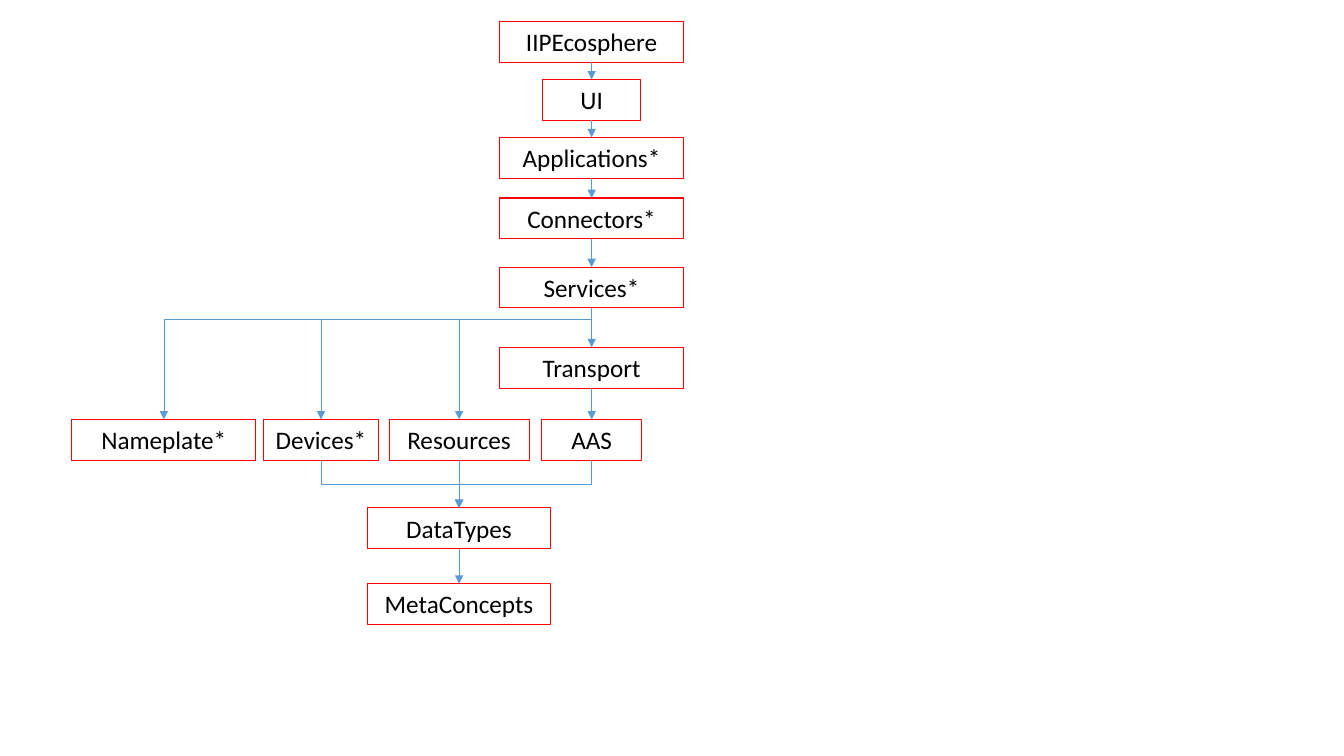
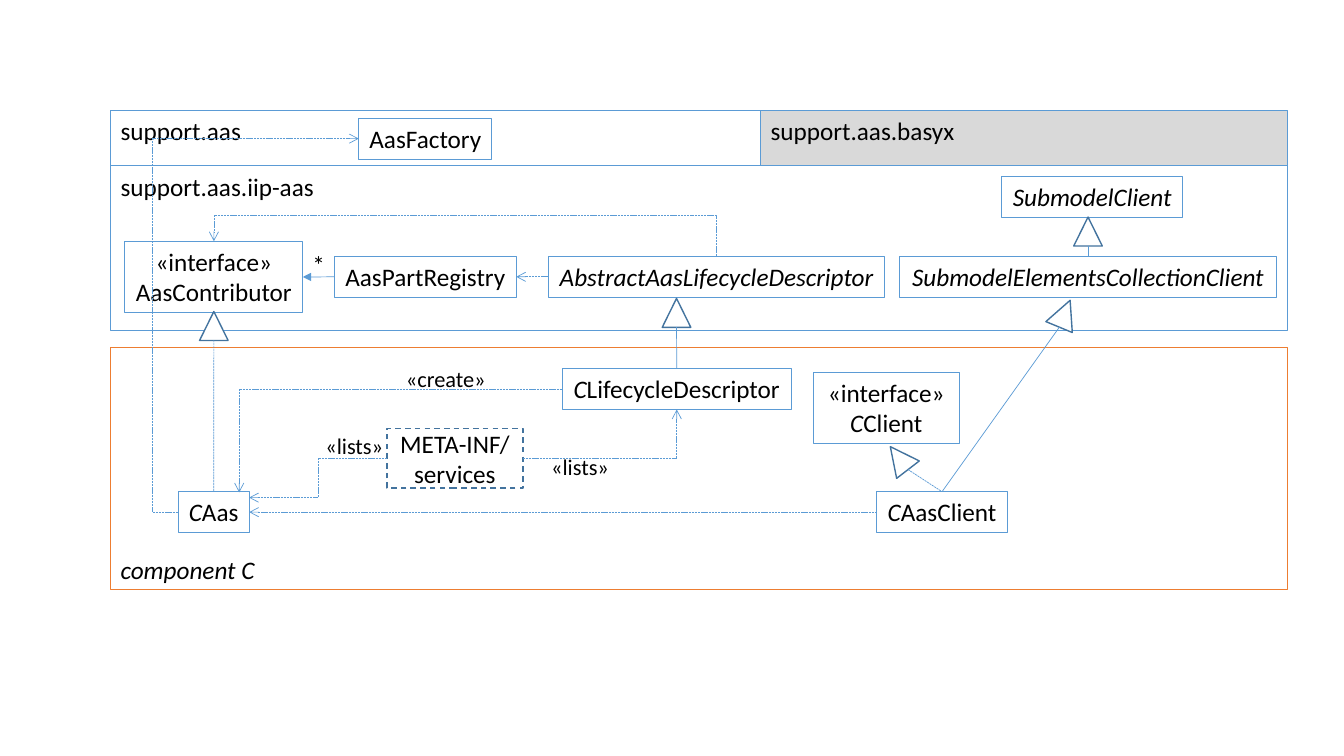
from dataclasses import dataclass

from lxml.etree import SubElement
from pptx import Presentation
from pptx.dml.color import RGBColor
from pptx.enum.dml import MSO_LINE
from pptx.enum.shapes import MSO_CONNECTOR, MSO_SHAPE
from pptx.enum.text import MSO_ANCHOR, PP_ALIGN
from pptx.oxml.ns import qn
from pptx.util import Cm, Pt


@dataclass(frozen=True)
class Theme:
    font: str = "Calibri"
    body: Pt = Pt(18)
    label: Pt = Pt(16)
    text: RGBColor = RGBColor(0, 0, 0)
    white: RGBColor = RGBColor(255, 255, 255)
    grey: RGBColor = RGBColor(0xD9, 0xD9, 0xD9)
    red: RGBColor = RGBColor(255, 0, 0)
    blue: RGBColor = RGBColor(0x5B, 0x9B, 0xD5)
    dark_blue: RGBColor = RGBColor(0x43, 0x73, 0x9E)
    orange: RGBColor = RGBColor(0xED, 0x7D, 0x31)
    box_line: Pt = Pt(0.75)
    link_line: Pt = Pt(0.5)
    strong_line: Pt = Pt(1)


T = Theme()
TOP, LEFT, BOTTOM, RIGHT = range(4)
SITES = {TOP: (0.5, 0), LEFT: (0, 0.5), BOTTOM: (0.5, 1), RIGHT: (1, 0.5)}
ROW = 1.03  # height of a one-line box


def box(slide, text, x, y, w, h=ROW, line=T.blue, fill=None, size=T.body,
        align=PP_ALIGN.CENTER, anchor=MSO_ANCHOR.TOP, wrap=False):
    """Add a text rectangle in cm; parts between underscores are italic."""
    area = Cm(x), Cm(y), Cm(w), Cm(h)
    if line is None:
        sp = slide.shapes.add_textbox(*area)
    else:
        sp = slide.shapes.add_shape(MSO_SHAPE.RECTANGLE, *area)
        sp.shadow.inherit = False
        sp.line.color.rgb = line
        sp.line.width = T.box_line
        sp.fill.background()
        if fill is not None:
            sp.fill.solid()
            sp.fill.fore_color.rgb = fill
    tf = sp.text_frame
    tf.word_wrap = wrap
    tf.vertical_anchor = anchor
    for i, row in enumerate(text.split("\n")):
        p = tf.add_paragraph() if i else tf.paragraphs[0]
        p.alignment = align
        for j, part in enumerate(row.split("_")):
            if part:
                r = p.add_run()
                r.text = part
                r.font.name, r.font.size = T.font, size
                r.font.color.rgb = T.text
                r.font.italic = j % 2 == 1
    return sp


def link(slide, start, end, head=None, dash=False, bend=None, upright=False):
    """Join two ends, each (shape, site) or a point in cm.

    bend is "corner" for one turn, or the share of the way at which a
    two-turn line bends; upright makes such a line leave vertically.
    """
    points = []
    for a, b in (start, end):
        if hasattr(a, "left"):
            fx, fy = SITES[b]
            points.append((int(a.left + a.width * fx), int(a.top + a.height * fy)))
        else:
            points.append((Cm(a), Cm(b)))
    (x1, y1), (x2, y2) = points
    kind = MSO_CONNECTOR.STRAIGHT if bend is None else MSO_CONNECTOR.ELBOW
    c = slide.shapes.add_connector(kind, x1, y1, x2, y2)
    if hasattr(start[0], "left"):
        c.begin_connect(*start)
    if hasattr(end[0], "left"):
        c.end_connect(*end)
    c.line.color.rgb = T.blue
    c.line.width = T.link_line
    if dash:
        c.line.dash_style = MSO_LINE.SQUARE_DOT
    props = c._element.spPr
    if head:
        SubElement(props.find(qn("a:ln")), qn("a:tailEnd"), type=head)
    SubElement(props, qn("a:effectLst"))
    geom = props.find(qn("a:prstGeom"))
    if bend == "corner":
        geom.set("prst", "bentConnector2")
    elif bend is not None:
        SubElement(geom.find(qn("a:avLst")), qn("a:gd"), name="adj1",
                   fmla=f"val {round(bend * 100000)}")
    if upright:
        w, h = abs(y2 - y1), abs(x2 - x1)
        c.left, c.top = (x1 + x2 - w) // 2, (y1 + y2 - h) // 2
        c.width, c.height = w, h
        quarter = x2 < x1 and y2 > y1
        xfrm = props.find(qn("a:xfrm"))
        xfrm.set("rot", str((90 if quarter else 270) * 60000))
        xfrm.set("flipH", str(int(y2 > y1 and not quarter)))
        xfrm.set("flipV", str(int(x2 < x1 and not quarter)))


prs = Presentation()
prs.slide_width, prs.slide_height = Cm(33.87), Cm(19.05)
blank = prs.slide_layouts[6]

# Slide 1: import hierarchy of the configuration model
s = prs.slides.add_slide(blank)
MAIN_X, DATA_X = 14.91, 11.57  # centres of the two columns
modules = {}
for name, centre, y, w in [
    ("IIPEcosphere", MAIN_X, 0.54, 4.63),
    ("UI", MAIN_X, 2, 2.46),
    ("Applications*", MAIN_X, 3.46, 4.63),
    ("Connectors*", MAIN_X, 4.99, 4.63),
    ("Services*", MAIN_X, 6.73, 4.63),
    ("Transport", MAIN_X, 8.75, 4.63),
    ("Nameplate*", 4.13, 10.57, 4.63),
    ("Devices*", 8.09, 10.57, 2.92),
    ("Resources", DATA_X, 10.57, 3.53),
    ("AAS", MAIN_X, 10.57, 2.54),
    ("DataTypes", DATA_X, 12.8, 4.63),
    ("MetaConcepts", DATA_X, 14.71, 4.63),
]:
    modules[name] = box(s, name, centre - w / 2, y, w, line=T.red)

spine = ["IIPEcosphere", "UI", "Applications*", "Connectors*", "Services*",
         "Transport", "AAS"]
imports = [(a, b, None) for a, b in zip(spine, spine[1:])]
imports += [("Services*", b, 0.1) for b in ("Nameplate*", "Devices*", "Resources")]
imports += [("AAS", "DataTypes", 0.5), ("Devices*", "DataTypes", 0.5),
            ("Resources", "DataTypes", None), ("DataTypes", "MetaConcepts", None)]
for a, b, bend in imports:
    link(s, (modules[a], BOTTOM), (modules[b], TOP), "triangle",
         bend=bend, upright=bend is not None)

# Slide 2: class diagram of the AAS support
s = prs.slides.add_slide(blank)
for text, x, y, w, h, line, fill, anchor in [
    ("support.aas", 2.79, 2.78, 16.38, 1.4, T.blue, None, MSO_ANCHOR.TOP),
    ("support.aas.basyx", 19.17, 2.78, 13.29, 1.4, T.blue, T.grey, MSO_ANCHOR.TOP),
    ("support.aas.iip-aas", 2.79, 4.18, 29.67, 4.14, T.blue, None, MSO_ANCHOR.TOP),
    ("_component C_", 2.79, 8.76, 29.67, 6.1, T.orange, None, MSO_ANCHOR.BOTTOM),
]:
    box(s, text, x, y, w, h, line, fill, align=PP_ALIGN.LEFT, anchor=anchor, wrap=True)

contributor = box(s, "«interface»\nAasContributor", 3.15, 6.08, 4.48, 1.8)
registry = box(s, "AasPartRegistry", 8.43, 6.46, 4.58)
descriptor = box(s, "_AbstractAasLifecycleDescriptor_", 13.82, 6.46, 8.48)
submodel = box(s, "_SubmodelClient_", 25.25, 4.45, 4.55)
collection = box(s, "_SubmodelElementsCollectionClient_", 22.68, 6.46, 9.48)
factory = box(s, "AasFactory", 9.04, 2.98, 3.36)
c_aas = box(s, "_C_Aas", 4.49, 12.39, 1.79)
c_aas_client = box(s, "_C_AasClient", 22.1, 12.39, 3.28)
c_client = box(s, "«interface»\n_C_Client", 20.49, 9.38, 3.69, 1.8)
c_descriptor = box(s, "_C_LifecycleDescriptor", 14.17, 9.29, 5.77)
meta_inf = box(s, "META-INF/\nservices", 9.75, 10.8, 3.43, 1.5,
               line=T.dark_blue, anchor=MSO_ANCHOR.MIDDLE, wrap=True)
meta_inf.line.width = T.strong_line
meta_inf.line.dash_style = MSO_LINE.DASH

# Inheritance: triangle place and turn, foot of the triangle, subclass, dashed
for x, y, turn, foot, sub, dash in [
    (5.03, 7.85, 0, (5.39, 8.57), c_aas, True),
    (22.3, 11.18, 322.5, (22.88, 11.83), c_aas_client, True),
    (26.47, 7.54, 22.4, (26.7, 8.24), c_aas_client, False),
    (16.69, 7.52, 0, (17.05, 8.24), c_descriptor, False),
    (27.06, 5.47, 0, (27.42, 6.2), collection, False),
]:
    sp = s.shapes.add_shape(MSO_SHAPE.ISOSCELES_TRIANGLE, Cm(x), Cm(y), Cm(0.72), Cm(0.73))
    sp.shadow.inherit = False
    sp.rotation = turn
    sp.fill.solid()
    sp.fill.fore_color.rgb = T.white
    sp.line.color.rgb = T.dark_blue
    sp.line.width = T.strong_line
    link(s, foot, (sub, TOP), dash=dash)

link(s, (registry, LEFT), (contributor, RIGHT), "triangle")
for start, end, bend, upright in [
    ((descriptor, LEFT), (registry, RIGHT), None, False),
    ((c_aas_client, LEFT), (c_aas, RIGHT), None, False),
    ((meta_inf, RIGHT), (c_descriptor, BOTTOM), "corner", False),
    ((c_descriptor, LEFT), (6.03, 12.41), "corner", False),
    ((descriptor, TOP), (contributor, TOP), 2.7, True),
    ((c_aas, LEFT), (factory, LEFT), -0.14, False),
    ((meta_inf, LEFT), (6.28, 12.54), 0.5, False),
]:
    link(s, start, end, "arrow", dash=True, bend=bend, upright=upright)

for text, x, y, w, size in [
    ("*", 7.62, 6.17, 0.84, T.body),
    ("«create»", 9.98, 9.07, 2.57, T.label),
    ("«lists»", 13.64, 11.3, 1.98, T.label),
    ("«lists»", 7.95, 10.77, 1.98, T.label),
]:
    box(s, text, x, y, w, line=None, size=size, align=PP_ALIGN.LEFT)

prs.save("out.pptx")
